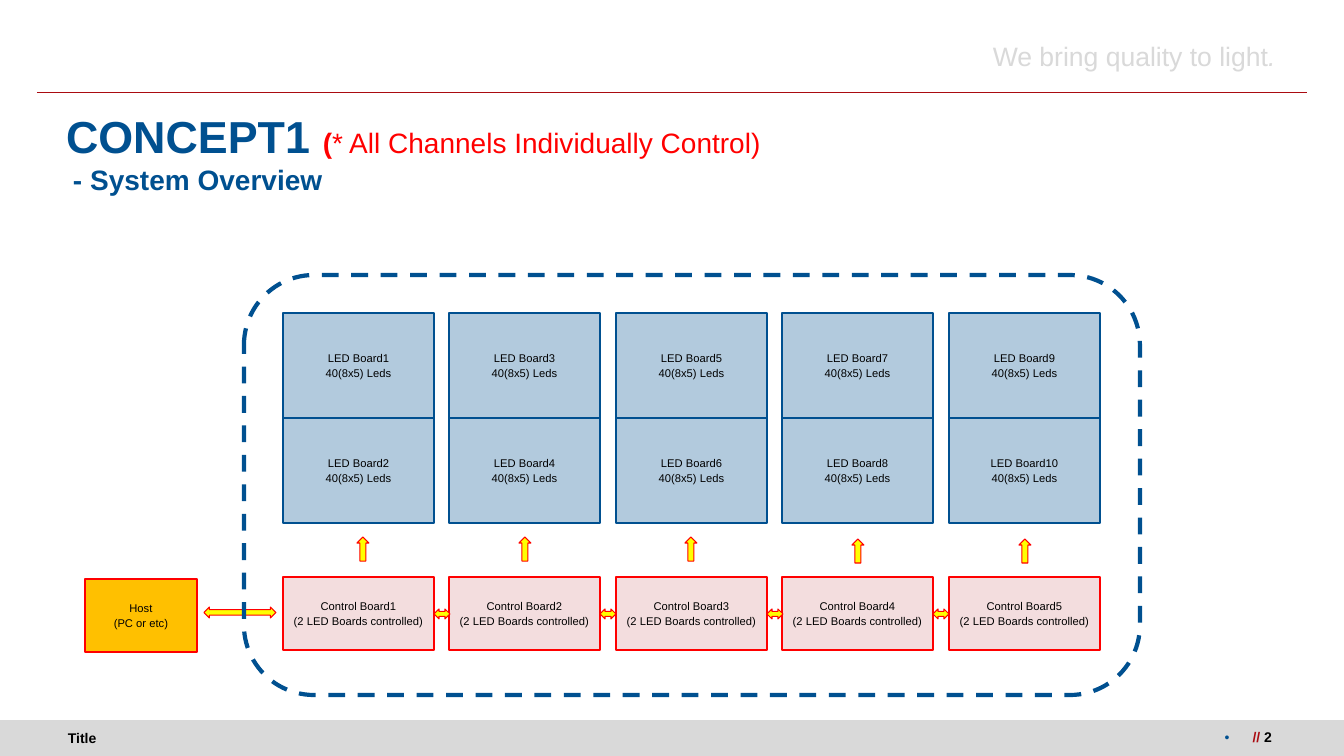
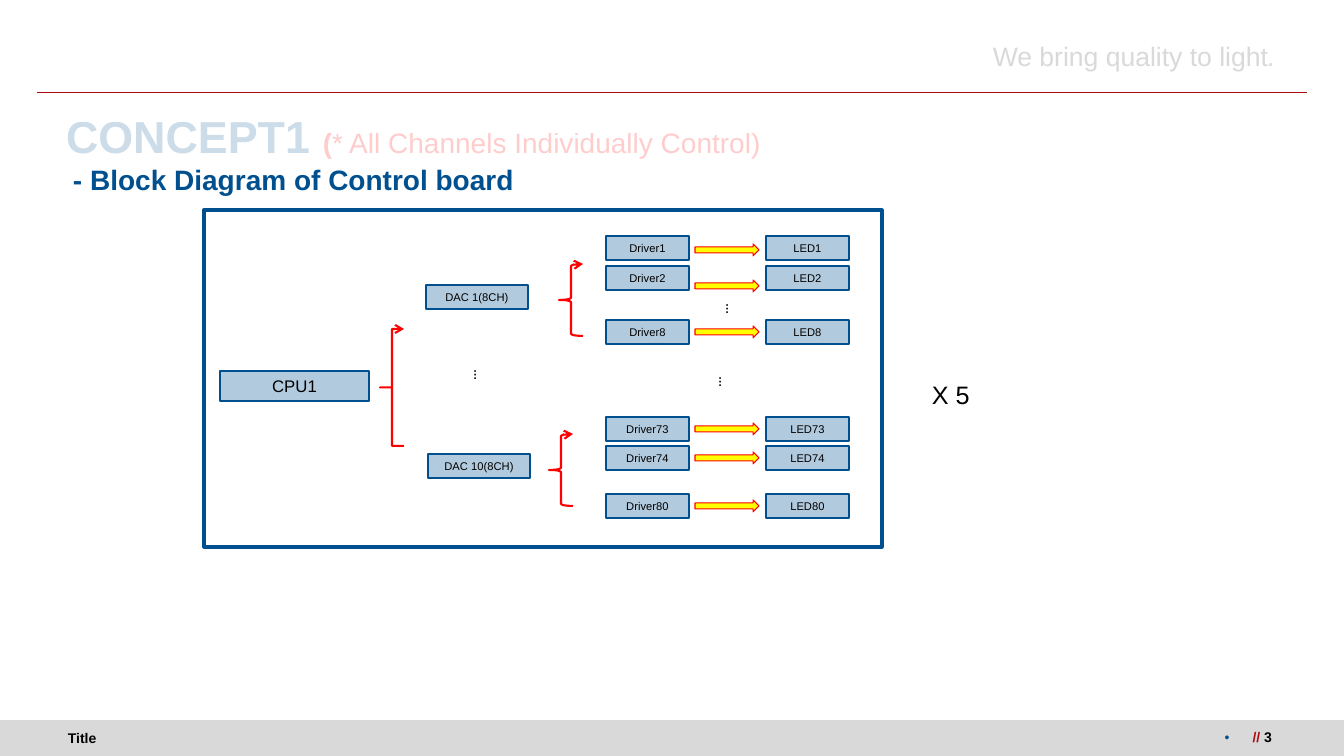
from dataclasses import dataclass
from typing import NamedTuple, Optional, Sequence

from lxml import etree
from pptx import Presentation
from pptx.dml.color import RGBColor
from pptx.enum.dml import MSO_LINE
from pptx.enum.shapes import MSO_CONNECTOR, MSO_SHAPE
from pptx.enum.text import MSO_ANCHOR, MSO_AUTO_SIZE, PP_ALIGN
from pptx.oxml.ns import qn
from pptx.util import Emu, Pt

RECT, ROUNDED, BRACE = MSO_SHAPE.RECTANGLE, MSO_SHAPE.ROUNDED_RECTANGLE, MSO_SHAPE.LEFT_BRACE
UP, RIGHT = MSO_SHAPE.UP_ARROW, MSO_SHAPE.RIGHT_ARROW
BOTH_WAYS = MSO_SHAPE.LEFT_RIGHT_ARROW
STRAIGHT, DASH = MSO_CONNECTOR.STRAIGHT, MSO_LINE.DASH
TOP, MIDDLE = MSO_ANCHOR.TOP, MSO_ANCHOR.MIDDLE
ALIGN_LEFT, ALIGN_CENTER, ALIGN_RIGHT = PP_ALIGN.LEFT, PP_ALIGN.CENTER, PP_ALIGN.RIGHT
NO_RESIZE = MSO_AUTO_SIZE.NONE

BLACK = RGBColor(0x00, 0x00, 0x00)
BLUE = RGBColor(0x00, 0x50, 0x90)
PALE_BLUE = RGBColor(0xB2, 0xCA, 0xDD)
RED = RGBColor(0xFF, 0x00, 0x00)
DARK_RED = RGBColor(0xAA, 0x0B, 0x11)
PALE_RED = RGBColor(0xF3, 0xDD, 0xDE)
YELLOW = RGBColor(0xFF, 0xFF, 0x00)
AMBER = RGBColor(0xFF, 0xC0, 0x00)
GRAY = RGBColor(0xD9, 0xD9, 0xD9)

FONT = "Arial"
PAGE_WIDTH, PAGE_HEIGHT = 1344, 756
EMU_PER_PX = 914400 / 100.8
MARGINS = (13, 7, 13, 7)
TITLE_ONLY = 5


def px(length: int) -> Emu:
    return Emu(round(length * EMU_PER_PX))


class Box(NamedTuple):
    left: int
    top: int
    width: int
    height: int

    def emu(self) -> list[Emu]:
        return [px(length) for length in self]


class Span(NamedTuple):
    text: str
    size: int
    color: RGBColor = BLACK
    bold: bool = False
    italic: bool = False


@dataclass(frozen=True)
class Style:
    fill: Optional[RGBColor]
    line: Optional[RGBColor]
    weight: float = 2


class Channel(NamedTuple):
    number: int
    top: int
    arrow_top: int


BOARD = Style(PALE_BLUE, BLUE)
CONTROL = Style(PALE_RED, RED)
HOST = Style(AMBER, RED)
ARROW = Style(YELLOW, RED, 0.75)
BRANCH = Style(None, RED, 1.5)
FRAME = Style(None, BLUE, 2.25)
OUTLINE = Style(None, BLUE, 3)
BAND = Style(GRAY, None)

COLUMN_LEFTS = [283 + index * 333 // 2 for index in range(5)]
COLUMN_WIDTH, BOARD_TOP, BOARD_HEIGHT = 151, 313, 105
UP_ARROWS = ((357, 537), (519, 537), (685, 537), (852, 539), (1019, 539))
CHANNELS = (
    Channel(1, 236, 244),
    Channel(2, 266, 280),
    Channel(8, 320, 326),
    Channel(73, 417, 423),
    Channel(74, 446, 452),
    Channel(80, 494, 500),
)
DACS = (("DAC 1(8CH)", 426, 285), ("DAC 10(8CH)", 428, 454))
DAC_BRACES = ((559, 264), (549, 434))
ELLIPSES = ((463, 363), (715, 297), (708, 370))


def write_spans(para, spans: Sequence[Span], opacity: int = 100) -> None:
    for span in spans:
        run = para.add_run()
        run.text = span.text
        font = run.font
        font.name, font.size = FONT, Pt(span.size)
        font.bold, font.italic = span.bold, span.italic
        font.color.rgb = span.color
        if opacity < 100:
            color = next(run.font._element.iter(qn("a:srgbClr")))
            etree.SubElement(color, qn("a:alpha"), val=str(opacity * 1000))


def set_frame(frame, margins: Sequence[int], anchor, wrap: bool = True) -> None:
    frame.auto_size = NO_RESIZE
    frame.word_wrap = wrap
    frame.vertical_anchor = anchor
    (frame.margin_left, frame.margin_top,
     frame.margin_right, frame.margin_bottom) = map(px, margins)


def add_text(page, box: Box, spans: Sequence[Span], align=ALIGN_LEFT, anchor=MIDDLE,
             margins: Sequence[int] = MARGINS, wrap: bool = True):
    shape = page.shapes.add_textbox(*box.emu())
    set_frame(shape.text_frame, margins, anchor, wrap)
    para = shape.text_frame.paragraphs[0]
    para.alignment = align
    write_spans(para, spans)
    return shape


def add_block(page, kind, box: Box, style: Style, text: str = "", size: int = 8):
    """Draw a preset shape, with one centred paragraph for each line of text."""
    shape = page.shapes.add_shape(kind, *box.emu())
    shape.shadow.inherit = False
    if style.fill is None:
        shape.fill.background()
    else:
        shape.fill.solid()
        shape.fill.fore_color.rgb = style.fill
    if style.line is None:
        shape.line.fill.background()
    else:
        shape.line.color.rgb = style.line
        shape.line.width = Pt(style.weight)
    if text:
        set_frame(shape.text_frame, (0, 0, 0, 0), MIDDLE)
        shape.text_frame.text = text
        for index, para in enumerate(shape.text_frame.paragraphs):
            para.alignment = ALIGN_CENTER
            if index:
                para.space_before = Pt(size * 0.2)
            para.font.name, para.font.size = FONT, Pt(size)
            para.font.color.rgb = BLACK
    return shape


def add_brace(page, box: Box):
    brace = add_block(page, BRACE, box, BRANCH)
    etree.SubElement(brace.line._get_or_add_ln(), qn("a:tailEnd"), type="arrow")
    return brace


def build_layout(layout, page) -> None:
    """Draw the shared band, rule and texts, and move them to the layout."""
    for placeholder in list(layout.placeholders):
        if placeholder.placeholder_format.idx:
            layout.shapes.element.remove(placeholder.element)
    band = add_block(page, RECT, Box(0, 720, PAGE_WIDTH, 36), BAND)
    rule = page.shapes.add_connector(STRAIGHT, px(37), px(93), px(1307), px(93))
    rule.line.color.rgb = DARK_RED
    rule.line.width = Pt(0.75)
    etree.SubElement(rule.element.spPr, qn("a:effectLst"))
    footer = add_text(page, Box(65, 720, 487, 36), [Span("Title", 10, bold=True)],
                      margins=(3, 7, 13, 7))
    slogan = add_text(page, Box(926, 33, 370, 45),
                      [Span("We bring quality to light", 19, GRAY),
                       Span(". ", 19, GRAY, italic=True)], ALIGN_RIGHT, TOP)
    for shape in (band, rule, footer, slogan):
        layout.shapes.element.append(shape.element)


def add_heading(page, subtitle: str, number: int, opacity: int = 100) -> None:
    title = page.shapes.title
    title.left, title.top, title.width, title.height = Box(53, 100, 1232, 72).emu()
    set_frame(title.text_frame, MARGINS, MIDDLE)
    para = title.text_frame.paragraphs[0]
    para.alignment = ALIGN_LEFT
    write_spans(para, [Span("CONCEPT1 ", 32, BLUE, True), Span("(", 20, RED, True),
                       Span("* All Channels Individually Control)", 20, RED)], opacity)
    add_text(page, Box(60, 143, 1232, 72), [Span(subtitle, 20, BLUE, True)])

    number_box = add_text(page, Box(1085, 722, 200, 37),
                          [Span("// ", 10, DARK_RED, True), Span(str(number), 10, bold=True)],
                          ALIGN_RIGHT, TOP)
    properties = number_box.text_frame.paragraphs[0]._p.get_or_add_pPr()
    properties.set("marL", str(px(28)))
    properties.set("indent", str(-px(28)))
    bullet_color = etree.SubElement(properties, qn("a:buClr"))
    etree.SubElement(bullet_color, qn("a:srgbClr"), val=str(BLUE))
    etree.SubElement(properties, qn("a:buFont"), typeface=FONT)
    etree.SubElement(properties, qn("a:buChar"), char="•")


def build_overview(page) -> None:
    add_heading(page, "- System Overview", 2)
    for index, left in enumerate(COLUMN_LEFTS):
        for row in range(2):
            box = Box(left, BOARD_TOP + row * BOARD_HEIGHT, COLUMN_WIDTH, BOARD_HEIGHT)
            add_block(page, RECT, box, BOARD,
                      f"LED Board{2 * index + row + 1}\n40(8x5) Leds")
        add_block(page, RECT, Box(left, 577, COLUMN_WIDTH, 73), CONTROL,
                  f"Control Board{index + 1}\n(2 LED Boards controlled)")
    for left, top in UP_ARROWS:
        add_block(page, UP, Box(left, top, 12, 24), ARROW)
    for left in COLUMN_LEFTS[:-1]:
        add_block(page, BOTH_WAYS, Box(left + COLUMN_WIDTH, 609, 16, 10), ARROW)
    add_block(page, RECT, Box(85, 579, 112, 73), HOST, "Host\n(PC or etc)")
    add_block(page, BOTH_WAYS, Box(204, 607, 72, 11), ARROW)
    outline = add_block(page, ROUNDED, Box(244, 275, 896, 420), OUTLINE)
    outline.line.dash_style = DASH


def build_block_diagram(page) -> None:
    add_heading(page, "- Block Diagram of Control board", 3, opacity=20)
    add_block(page, RECT, Box(204, 210, 678, 337), FRAME)
    add_block(page, RECT, Box(220, 371, 149, 30), BOARD, "CPU1", 12)
    cpu_brace = add_brace(page, Box(380, 329, 24, 117))
    cpu_brace.adjustments[0] = 0
    for name, left, top in DACS:
        add_block(page, RECT, Box(left, top, 102, 24), BOARD, name)
    for left, top in DAC_BRACES:
        add_brace(page, Box(left, top, 24, 72))
    for channel in CHANNELS:
        for name, left in (("Driver", 606), ("LED", 766)):
            add_block(page, RECT, Box(left, channel.top, 83, 24), BOARD,
                      f"{name}{channel.number}")
        add_block(page, RIGHT, Box(695, channel.arrow_top, 64, 12), ARROW)
    for left, top in ELLIPSES:
        ellipsis = add_text(page, Box(left, top, 31, 24), [Span("…", 8, bold=True)],
                            anchor=TOP, margins=(10, 5, 10, 5), wrap=False)
        ellipsis.rotation = 90
    add_text(page, Box(922, 374, 58, 40), [Span("X 5", 18)],
             margins=(10, 5, 10, 5), wrap=False)


def main() -> None:
    deck = Presentation()
    deck.slide_width, deck.slide_height = px(PAGE_WIDTH), px(PAGE_HEIGHT)
    layout = deck.slide_layouts[TITLE_ONLY]
    overview = deck.slides.add_slide(layout)
    build_layout(layout, overview)
    build_overview(overview)
    build_block_diagram(deck.slides.add_slide(layout))
    deck.save("out.pptx")


if __name__ == "__main__":
    main()
